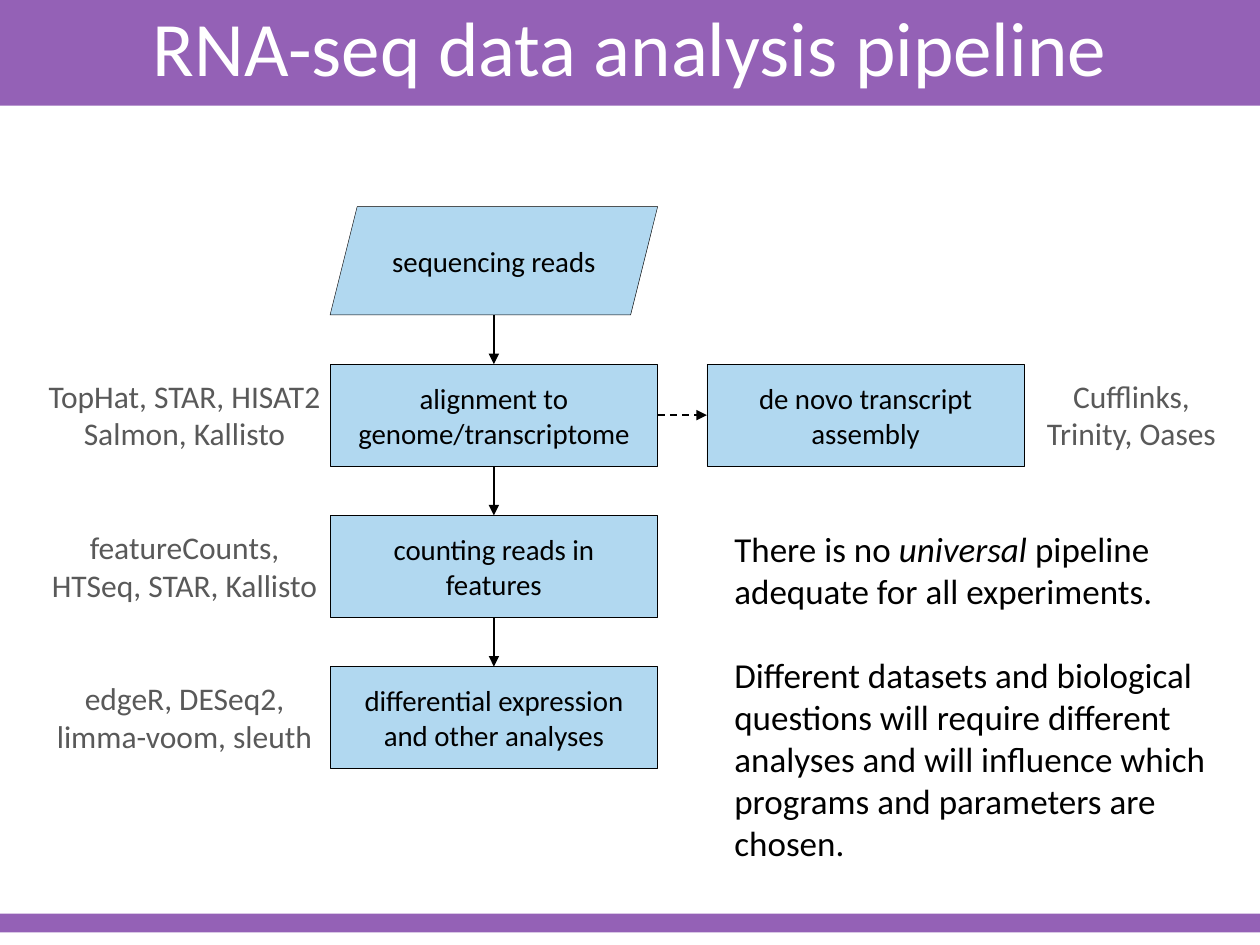
import pptx
import pptx.util
import pptx.dml.color
import pptx.enum.dml
import pptx.enum.shapes
import pptx.enum.text
import pptx.oxml.ns
from dataclasses import dataclass
from lxml import etree

SHAPE = pptx.enum.shapes.MSO_SHAPE
ALIGN = pptx.enum.text.PP_ALIGN
MIDDLE = pptx.enum.text.MSO_ANCHOR.MIDDLE
TOP = pptx.enum.text.MSO_ANCHOR.TOP
BLANK_LAYOUT = 6
COLS, ROWS = 100, 75  # square grid cells of a tenth of an inch


@dataclass(frozen=True)
class Theme:
    font: str = "Calibri"
    purple: str = "9461B6"
    blue: str = "B1D8F0"
    black: str = "000000"
    grey: str = "595959"
    white: str = "FFFFFF"
    title: float = 44
    body: float = 20
    tool: float = 18
    step: float = 16.5


def rgb(value):
    return pptx.dml.color.RGBColor.from_string(value)


class Deck:
    def __init__(self, theme):
        self.theme = theme
        self.prs = pptx.Presentation()
        self.prs.slide_width = pptx.util.Inches(10)
        self.prs.slide_height = pptx.util.Inches(7.5)
        self.s = self.prs.slides.add_slide(self.prs.slide_layouts[BLANK_LAYOUT])

    def x(self, cols):
        return round(self.prs.slide_width * cols / COLS)

    def y(self, rows):
        return round(self.prs.slide_height * rows / ROWS)

    def place(self, left, top, width, height):
        return self.x(left), self.y(top), self.x(width), self.y(height)

    def set_text(self, sp, paragraphs, size, color, align, anchor):
        """Each paragraph is a string; *stars* surround italic words."""
        tf = sp.text_frame
        tf.word_wrap = True
        tf.vertical_anchor = anchor
        for i, text in enumerate(paragraphs):
            p = tf.add_paragraph() if i else tf.paragraphs[0]
            p.alignment = align
            for j, part in enumerate(text.split("*")):
                r = p.add_run()
                r.text = part
                r.font.name = self.theme.font
                r.font.size = pptx.util.Pt(size)
                r.font.color.rgb = rgb(color)
                r.font.italic = j % 2 == 1
        return tf

    def shape(self, kind, box, fill, line=None):
        sp = self.s.shapes.add_shape(kind, *self.place(*box))
        sp.shadow.inherit = False
        sp.fill.solid()
        sp.fill.fore_color.rgb = rgb(fill)
        if line:
            sp.line.color.rgb = rgb(line)
            sp.line.width = pptx.util.Pt(0.25)
        else:
            sp.line.fill.background()
        return sp

    def step(self, text, box, kind=SHAPE.RECTANGLE):
        t = self.theme
        sp = self.shape(kind, box, t.blue, t.black)
        tf = self.set_text(sp, [text], t.step, t.black, ALIGN.CENTER, MIDDLE)
        tf.margin_left = tf.margin_right = self.x(1.2)
        return sp

    def text(self, paragraphs, box, size, color, align=ALIGN.CENTER, anchor=TOP):
        sp = self.s.shapes.add_textbox(*self.place(*box))
        return self.set_text(sp, paragraphs, size, color, align, anchor)

    def arrow(self, start, end, start_side, end_side, dashed=False):
        cx = self.s.shapes.add_connector(
            pptx.enum.shapes.MSO_CONNECTOR.STRAIGHT,
            start.left + start.width // 2, start.top + start.height,
            end.left + end.width // 2, end.top)
        # Only rectangles have their sides numbered 0 to 3
        if start.auto_shape_type == SHAPE.RECTANGLE:
            cx.begin_connect(start, start_side)
        cx.end_connect(end, end_side)
        cx.line.color.rgb = rgb(self.theme.black)
        cx.line.width = pptx.util.Pt(1)
        if dashed:
            cx.line.dash_style = pptx.enum.dml.MSO_LINE.DASH
        qn = pptx.oxml.ns.qn
        props = cx.element.spPr
        etree.SubElement(props.find(qn("a:ln")), qn("a:tailEnd"), type="triangle")
        etree.SubElement(props, qn("a:effectLst"))


def main():
    t = Theme()
    d = Deck(t)

    # Flow column: reads at the top, then three evenly spaced steps with tools
    left, width, height = 26.2, 26, 8.1
    first, pitch = 28.9, 12
    previous = d.step("sequencing reads", (left, 16.4, width, 8.6), SHAPE.PARALLELOGRAM)
    steps = [
        ("alignment to genome/transcriptome",
         ["TopHat, STAR, HISAT2", "Salmon, Kallisto"]),
        ("counting reads in features", ["featureCounts, HTSeq, STAR, Kallisto"]),
        ("differential expression and other analyses",
         ["edgeR, DESeq2, limma-voom, sleuth"]),
    ]
    boxes = []
    for i, (label, tools) in enumerate(steps):
        top = first + i * pitch
        box = d.step(label, (left, top, width, height))
        d.arrow(previous, box, 2, 0)
        d.text(tools, (2.6, top + 0.5, 24.1, 7.1), t.tool, t.grey)
        boxes.append(box)
        previous = box

    # Optional assembly branch
    assembly = d.step("de novo transcript assembly", (56.1, first, 25.2, height))
    d.arrow(boxes[0], assembly, 3, 1, dashed=True)
    d.text(["Cufflinks, Trinity, Oases"], (81.3, 29.4, 17, 7.1), t.tool, t.grey)

    # Remarks
    tf = d.text(
        ["There is no *universal* pipeline adequate for all experiments.",
         "Different datasets and biological questions will require different "
         "analyses and will influence which programs and parameters are chosen."],
        (57.3, 41.4, 39.6, 27.9), t.body, t.black, ALIGN.LEFT)
    tf.paragraphs[1].space_before = pptx.util.Pt(24)

    # Title band and footer band
    d.shape(SHAPE.RECTANGLE, (0, -0.2, COLS, 8.6), t.purple)
    tf = d.text(["RNA-seq data analysis pipeline"], (6.9, -0.2, 86.2, 8.6),
                t.title, t.white, anchor=MIDDLE)
    tf.paragraphs[0].line_spacing = 0.9
    d.shape(SHAPE.RECTANGLE, (0, 72.5, COLS, 1.5), t.purple)

    d.prs.save("out.pptx")


if __name__ == "__main__":
    main()
